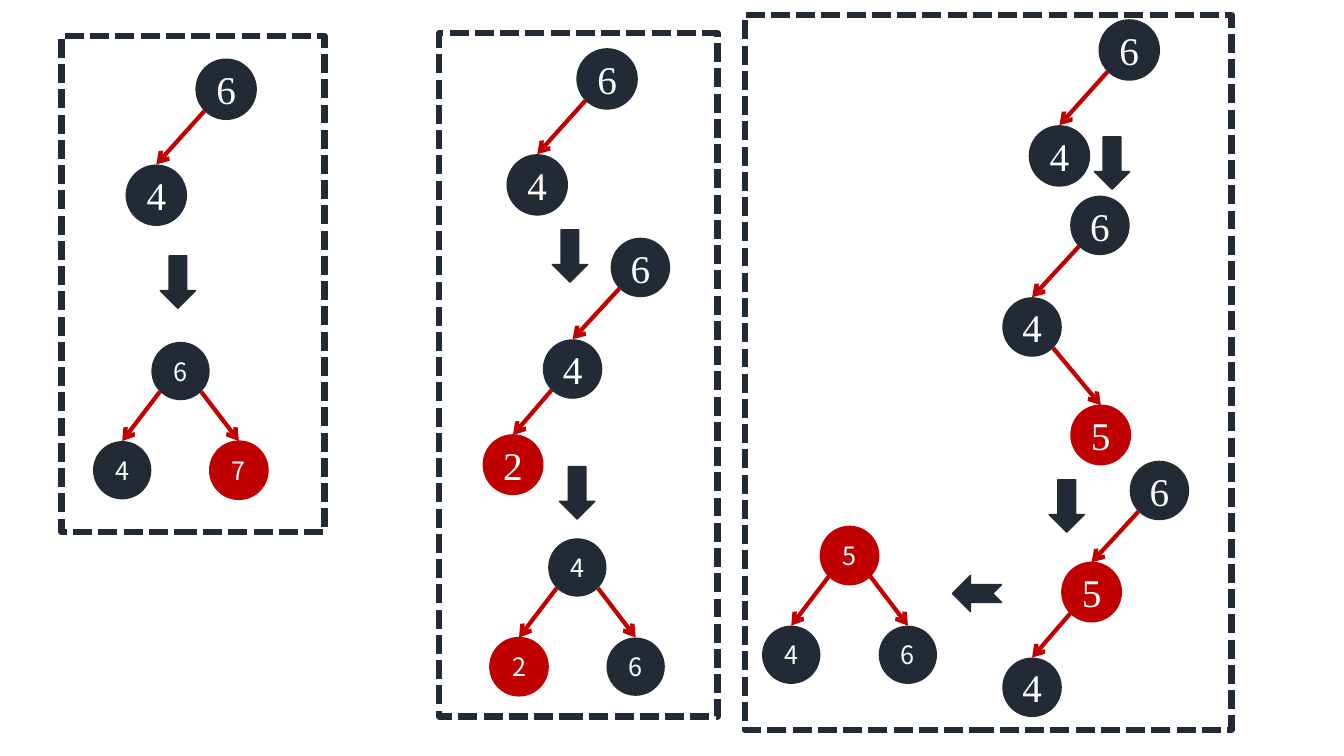
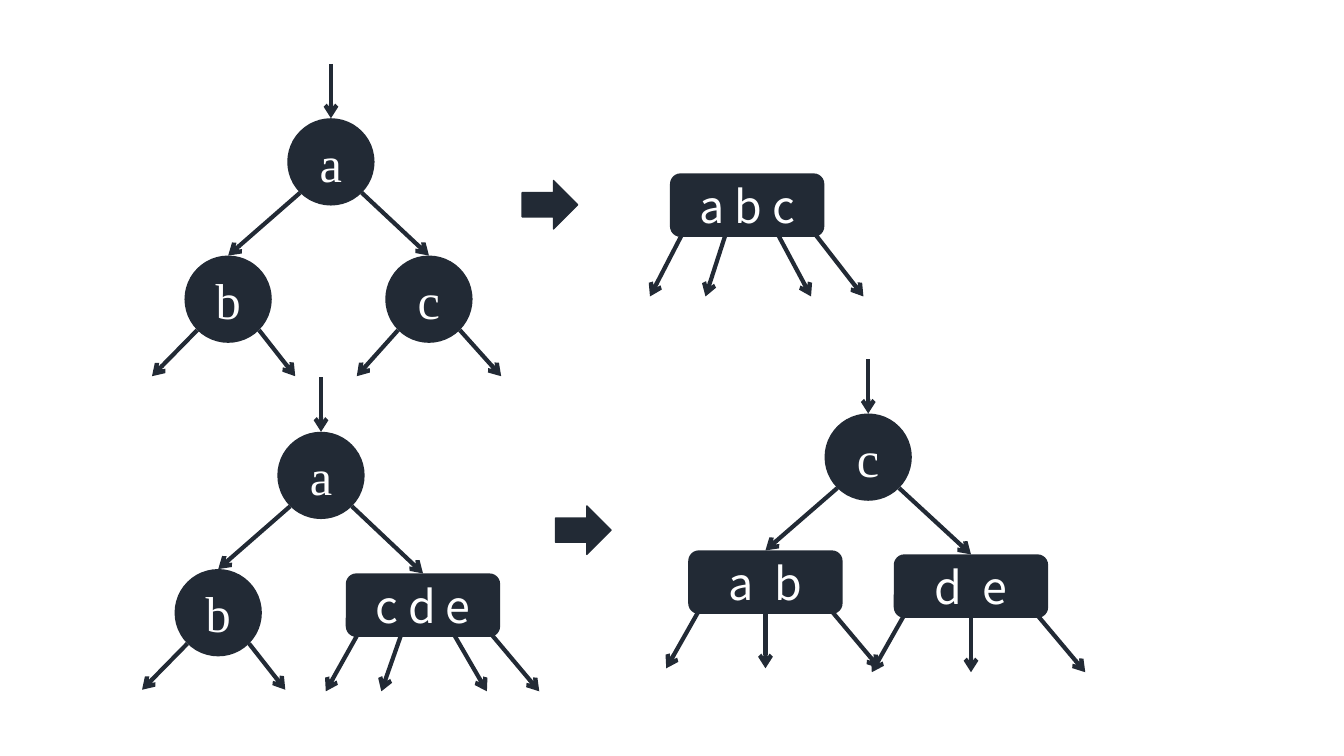
from dataclasses import dataclass
from math import sqrt
from typing import NamedTuple

from lxml.etree import SubElement
from pptx import Presentation
from pptx.dml.color import RGBColor
from pptx.enum.dml import MSO_LINE
from pptx.enum.shapes import MSO_CONNECTOR, MSO_SHAPE as Preset
from pptx.enum.text import MSO_ANCHOR, PP_ALIGN
from pptx.oxml.ns import qn
from pptx.shapes.autoshape import Shape
from pptx.slide import Slide
from pptx.util import Cm, Pt

DARK = RGBColor(0x22, 0x2A, 0x35)
RED = RGBColor(0xC0, 0x00, 0x00)
WHITE = RGBColor(0xFF, 0xFF, 0xFF)
SERIF, SANS = "Times New Roman", "Noto Sans CJK SC"
ENTRY_LENGTH = 1.37


class NodeStyle(NamedTuple):
    preset: Preset
    width: float
    height: float
    font: str
    size: int
    spacing: float = 0


class Tip(NamedTuple):
    """An open edge below a node, as offsets from the node's centre."""
    start_x: float
    start_y: float
    end_x: float
    end_y: float


class Block(NamedTuple):
    """A block arrow between two steps."""
    preset: Preset
    left: float
    top: float
    width: float
    height: float
    rotation: float = 0


class Frame(NamedTuple):
    left: float
    top: float
    width: float
    height: float


@dataclass(frozen=True)
class Node:
    """A tree node; dx and dy lead from its parent's centre to its own."""
    label: str
    style: NodeStyle
    dx: float = 0
    dy: float = 0
    colour: RGBColor = DARK
    children: tuple["Node", ...] = ()
    tips: tuple[Tip, ...] = ()


@dataclass(frozen=True)
class Tree:
    x: float
    y: float
    root: Node
    entry: bool = False


LARGE = NodeStyle(Preset.OVAL, 1.55, 1.55, SERIF, 28)
MEDIUM = NodeStyle(Preset.OVAL, 1.5, 1.5, SERIF, 28)
SMALL = NodeStyle(Preset.OVAL, 1.47, 1.47, SANS, 18)
LETTER = NodeStyle(Preset.OVAL, 2.2, 2.2, SERIF, 36)
THREE_KEYS = NodeStyle(Preset.ROUNDED_RECTANGLE, 3.89, 1.6, SANS, 32)
TWO_KEYS = THREE_KEYS._replace(spacing=3.6)


def add_filled(page: Slide, preset: Preset, left: float, top: float,
               width: float, height: float, colour: RGBColor) -> Shape:
    shape = page.shapes.add_shape(preset, Cm(left), Cm(top), Cm(width), Cm(height))
    shape.shadow.inherit = False
    shape.fill.solid()
    shape.fill.fore_color.rgb = colour
    shape.line.fill.background()
    return shape


def outline(shape: Shape, colour: RGBColor, width: float) -> None:
    shape.line.color.rgb = colour
    shape.line.width = Pt(width)


def add_arrow(page: Slide, start: tuple[float, float], end: tuple[float, float],
              colour: RGBColor) -> None:
    arrow = page.shapes.add_connector(
        MSO_CONNECTOR.STRAIGHT, *(Cm(value) for value in (*start, *end)))
    arrow.line.color.rgb = colour
    arrow.line.width = Pt(3)
    SubElement(arrow.line._get_or_add_ln(), qn("a:tailEnd"), type="arrow")
    SubElement(arrow._element.spPr, qn("a:effectLst"))


def add_label(box: Shape, text: str, style: NodeStyle) -> None:
    box.text_frame.word_wrap = True
    box.text_frame.vertical_anchor = MSO_ANCHOR.MIDDLE
    para = box.text_frame.paragraphs[0]
    para.alignment = PP_ALIGN.CENTER
    span = para.add_run()
    span.text = text
    for name, value in {"name": style.font, "size": Pt(style.size)}.items():
        setattr(span.font, name, value)
    span.font.color.rgb = WHITE
    if style.spacing:
        span._r.get_or_add_rPr().set("spc", str(round(style.spacing * 100)))


def draw_node(page: Slide, node: Node, x: float, y: float, edge: RGBColor) -> None:
    """Draw the node centred on x, y, then its edges and its subtrees."""
    style = node.style
    box = add_filled(page, style.preset, x - style.width / 2, y - style.height / 2,
                     style.width, style.height, node.colour)
    if node.colour == RED:
        outline(box, RED, 1)
    add_label(box, node.label, style)
    reach = style.width / 2 / sqrt(2)
    for child in node.children:
        child_x, child_y = x + child.dx, y + child.dy
        side = reach if child.dx > 0 else -reach
        add_arrow(page, (x + side, y + reach),
                  (child_x, child_y - child.style.height / 2), edge)
        draw_node(page, child, child_x, child_y, edge)
    for tip in node.tips:
        add_arrow(page, (x + tip.start_x, y + tip.start_y),
                  (x + tip.end_x, y + tip.end_y), edge)


def draw_tree(page: Slide, tree: Tree, edge: RGBColor) -> None:
    draw_node(page, tree.root, tree.x, tree.y, edge)
    if tree.entry:
        top = tree.y - tree.root.style.height / 2
        add_arrow(page, (tree.x, top - ENTRY_LENGTH), (tree.x, top), edge)


def draw_block(page: Slide, block: Block) -> None:
    shape = add_filled(page, *block[:5], DARK)
    outline(shape, DARK, 1)
    shape.rotation = block.rotation


def draw_frame(page: Slide, frame: Frame) -> None:
    shape = add_filled(page, Preset.RECTANGLE, *frame, WHITE)
    shape.fill.background()
    outline(shape, DARK, 4.5)
    shape.line.dash_style = MSO_LINE.SQUARE_DOT


def pair(x: float, y: float) -> Tree:
    """The starting tree: 6 with 4 on its left."""
    return Tree(x, y, Node("6", LARGE, children=(Node("4", LARGE, -1.76, 2.67),)))


def chain(x: float, y: float, middle: str, middle_colour: RGBColor, leaf: Node) -> Tree:
    """6, with a left child that has one leaf."""
    child = Node(middle, MEDIUM, -1.71, 2.56, middle_colour, (leaf,))
    return Tree(x, y, Node("6", MEDIUM, children=(child,)))


def balanced(x: float, y: float, labels: str, red: str) -> Tree:
    """A root with two leaves; labels run root, left, right."""
    root, left, right = labels
    colours = {red: RED}
    leaves = tuple(Node(label, SMALL, dx, 2.5, colours.get(label, DARK))
                   for label, dx in ((left, -1.47), (right, 1.47)))
    return Tree(x, y, Node(root, SMALL, colour=colours.get(root, DARK), children=leaves))


def fan(ends: tuple[tuple[float, float], ...], drop: float = 2.17) -> tuple[Tip, ...]:
    """Open edges below a box, from pairs of start and end x."""
    return tuple(Tip(start, 0.6, end, drop) for start, end in ends)


def fork(left: float, right: float) -> tuple[Tip, ...]:
    """Two open edges below a letter circle."""
    reach = LETTER.width / 2 / sqrt(2)
    return Tip(-reach, reach, left, 1.94), Tip(reach, reach, right, 1.94)


def down_block(left: float, top: float) -> Block:
    return Block(Preset.DOWN_ARROW, left, top, 0.89, 1.32)


def right_block(left: float, top: float) -> Block:
    return Block(Preset.RIGHT_ARROW, left, top, 1.4, 1.22)


FOUR_WAYS = ((-1.57, -2.45), (-0.5, -1.05), (0.7, 1.61), (1.61, 2.93))
THREE_WAYS = ((-1.61, -2.5), (0, 0), (1.56, 2.88))
LEFT_LETTER = Node("b", LETTER, -2.59, 3.46, tips=fork(-1.92, 1.69))

INSERT_TREES = (
    pair(5.7, 2.25),
    balanced(4.55, 9.35, "647", "7"),
    pair(15.3, 1.99),
    chain(16.14, 6.74, "4", DARK, Node("2", MEDIUM, -1.5, 2.41, RED)),
    balanced(14.55, 14.3, "426", "2"),
    pair(28.46, 1.26),
    chain(27.72, 5.68, "4", DARK, Node("5", MEDIUM, 1.73, 2.72, RED)),
    chain(29.22, 12.36, "5", RED, Node("4", MEDIUM, -1.5, 2.4)),
    balanced(21.41, 14, "546", "5"),
)
INSERT_BLOCKS = (
    down_block(4.04, 6.45),
    down_block(13.92, 5.79),
    down_block(14.1, 11.76),
    down_block(27.58, 3.45),
    down_block(26.44, 12.09),
    Block(Preset.NOTCHED_RIGHT_ARROW, 24, 14.5, 1.24, 0.91, 180),
)
INSERT_FRAMES = (
    Frame(1.55, 0.91, 6.63, 12.5),
    Frame(11.07, 0.84, 7.01, 17.22),
    Frame(18.77, 0.38, 12.27, 18.01),
)
MERGE_TREES = (
    Tree(8.34, 4.08, Node("a", LETTER, children=(
        LEFT_LETTER,
        Node("c", LETTER, 2.47, 3.46, tips=fork(-1.82, 1.82)))), entry=True),
    Tree(18.83, 5.17, Node("a b c", THREE_KEYS, tips=fan(FOUR_WAYS, 2.3))),
    Tree(8.09, 11.98, Node("a", LETTER, children=(
        LEFT_LETTER,
        Node("c d e", THREE_KEYS, 2.57, 3.27, tips=fan(FOUR_WAYS)))), entry=True),
    Tree(21.88, 11.52, Node("c", LETTER, children=(
        Node("a b", TWO_KEYS, -2.59, 3.15, tips=fan(THREE_WAYS)),
        Node("d e", TWO_KEYS, 2.59, 3.25, tips=fan(THREE_WAYS)))), entry=True),
)
MERGE_BLOCKS = (right_block(13.16, 4.55), right_block(14, 12.75))


def add_page(deck: Presentation, trees: tuple[Tree, ...], edge: RGBColor,
             blocks: tuple[Block, ...], frames: tuple[Frame, ...] = ()) -> None:
    page = deck.slides.add_slide(deck.slide_layouts[6])
    for tree in trees:
        draw_tree(page, tree, edge)
    for block in blocks:
        draw_block(page, block)
    for frame in frames:
        draw_frame(page, frame)


def main() -> None:
    deck = Presentation()
    deck.slide_width, deck.slide_height = Cm(33.87), Cm(19.05)
    add_page(deck, INSERT_TREES, RED, INSERT_BLOCKS, INSERT_FRAMES)
    add_page(deck, MERGE_TREES, DARK, MERGE_BLOCKS)
    deck.save("out.pptx")


if __name__ == "__main__":
    main()
